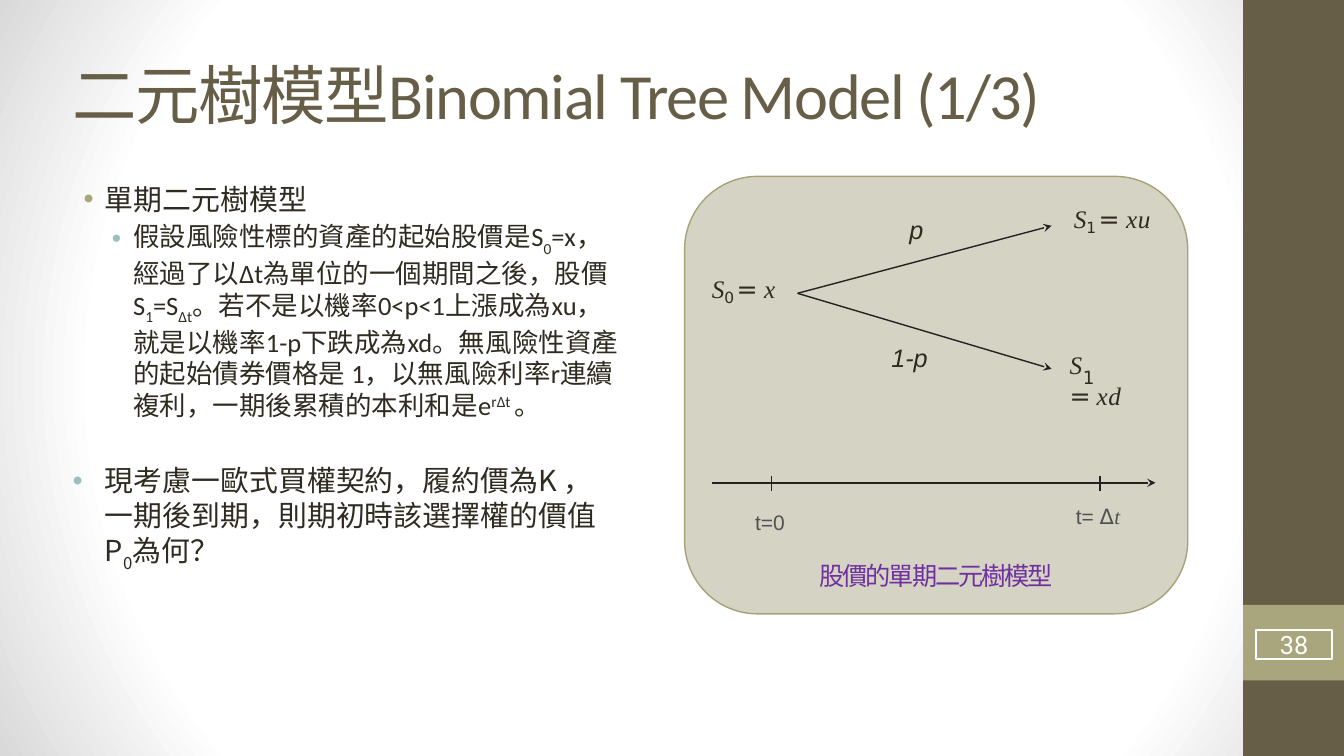
from lxml import etree
from pptx import Presentation
from pptx.dml.color import RGBColor
from pptx.enum.shapes import MSO_CONNECTOR as CONN, MSO_SHAPE as SHAPE
from pptx.enum.text import MSO_ANCHOR as ANCHOR, MSO_AUTO_SIZE as AUTO, PP_ALIGN as ALIGN
from pptx.oxml import parse_xml
from pptx.oxml.ns import nsdecls, qn
from pptx.util import Inches, Pt

COLORS = {
    "brown": "675E47", "olive": "A9A57C", "ink": "2F2B20", "teal": "9CBEBD",
    "panel": "D5D3C4", "edge": "A6A278", "line": "222222", "gray": "515151",
    "purple": "7030A0", "white": "FFFFFF", "shade": "D9D9D9",
}
CJK, CJK_TC, LATIN = "Noto Sans CJK SC", "Noto Sans CJK TC", "Calibri"
SYMBOL, SERIF, SANS = "DejaVu Sans", "Times New Roman", "Arial"


def rgb(name):
    return RGBColor.from_string(COLORS[name])


def add_run(p, text, name, size, color, spc=0, base=0, **fmt):
    r = p.add_run()
    r.text = text
    for key, value in {"name": name, "size": Pt(size), **fmt}.items():
        setattr(r.font, key, value)
    r.font.color.rgb = rgb(color)
    rPr = r._r.get_or_add_rPr()
    etree.SubElement(rPr, qn("a:ea")).set("typeface", name)
    for key, value in {"spc": spc * 100, "baseline": base * 1000}.items():
        if value:
            rPr.set(key, str(round(value)))


def set_frame(tf, inset=0, anchor=ANCHOR.TOP):
    margins = {f"margin_{side}": Inches(inset) for side in ("left", "right", "top", "bottom")}
    for key, value in {**margins, "word_wrap": True, "auto_size": AUTO.NONE,
                       "vertical_anchor": anchor}.items():
        setattr(tf, key, value)


def add_box(s, kind, x, y, w, h, fill=None, line=None, width=1):
    sp = s.shapes.add_shape(kind, Inches(x), Inches(y), Inches(w), Inches(h))
    sp.shadow.inherit = False
    if fill:
        sp.fill.solid()
        sp.fill.fore_color.rgb = rgb(fill)
    else:
        sp.fill.background()
    if line:
        sp.line.color.rgb = rgb(line)
        sp.line.width = Pt(width)
    else:
        sp.line.fill.background()
    return sp


def add_label(s, x, y, w, h, lines, align=ALIGN.LEFT):
    tf = s.shapes.add_textbox(Inches(x), Inches(y), Inches(w), Inches(h)).text_frame
    set_frame(tf)
    for i, runs in enumerate(lines):
        p = tf.add_paragraph() if i else tf.paragraphs[0]
        p.alignment = align
        for fmt in runs:
            add_run(p, **fmt)


def add_line(s, x1, y1, x2, y2, width=1, arrow=False):
    c = s.shapes.add_connector(CONN.STRAIGHT, *map(Inches, (x1, y1, x2, y2)))
    c.line.color.rgb = rgb("line")
    c.line.width = Pt(width)
    if arrow:
        tail = etree.SubElement(c.line._get_or_add_ln(), qn("a:tailEnd"))
        for key, value in {"type": "stealth", "w": "med", "len": "med"}.items():
            tail.set(key, value)
    etree.SubElement(c._element.spPr, qn("a:effectLst"))


def set_background(s):
    s.background.fill.solid()
    solid = s.background._cSld.bg.bgPr.find(qn("a:solidFill"))
    stops = "".join(f'<a:gs pos="{pos}"><a:srgbClr val="{COLORS[c]}"/></a:gs>'
                    for pos, c in ((0, "white"), (75000, "white"), (100000, "shade")))
    solid.getparent().replace(solid, parse_xml(
        f'<a:gradFill {nsdecls("a")} rotWithShape="1"><a:gsLst>{stops}</a:gsLst>'
        '<a:path path="circle"><a:fillToRect l="50000" t="50000" r="50000" b="50000"/>'
        '</a:path></a:gradFill>'))


def add_sidebar(s, x, y, w, h):
    add_box(s, SHAPE.RECTANGLE, x, y, w, h, "brown")
    add_box(s, SHAPE.RECTANGLE, x, y + 6, w, 0.75, "olive")
    number = add_box(s, SHAPE.RECTANGLE, x + 0.13, y + 6.25, 0.75, 0.29, line="white", width=1.5)
    set_frame(number.text_frame, anchor=ANCHOR.MIDDLE)
    p = number.text_frame.paragraphs[0]
    p.alignment = ALIGN.CENTER
    add_run(p, "38", "Roboto", 18, "white")


def add_title(s, x, y, w, h):
    sp = s.shapes.title
    for key, value in {"left": x, "top": y, "width": w, "height": h}.items():
        setattr(sp, key, Inches(value))
    set_frame(sp.text_frame, 0.05, ANCHOR.MIDDLE)
    p = sp.text_frame.paragraphs[0]
    p.alignment = ALIGN.LEFT
    for text, font in (("二元樹模型", CJK), ("Binomial Tree Model (1/3)", LATIN)):
        add_run(p, text, font, 46, "brown", spc=-1)


def add_bullet(p, color, left, hang):
    pPr = p._p.get_or_add_pPr()
    pPr.set("marL", str(Inches(left)))
    pPr.set("indent", str(-Inches(hang)))
    clr = etree.SubElement(pPr, qn("a:buClr"))
    etree.SubElement(clr, qn("a:srgbClr")).set("val", COLORS[color])
    etree.SubElement(pPr, qn("a:buFont")).set("typeface", SANS)
    etree.SubElement(pPr, qn("a:buChar")).set("char", "•")


def add_body(s, x, y, w, h):
    assumption = [
        ("假設風險性標的資產的起始股價是", CJK), ("S", LATIN), ("0", LATIN, -28), ("=x", LATIN),
        ("，經過了以", CJK), ("∆t", LATIN), ("為單位的一個期間之後，股價", CJK),
        ("S", LATIN), ("1", LATIN, -28), ("=S", LATIN), ("∆t", LATIN, -28),
        ("。若不是以機率", CJK), ("0<p<1", LATIN), ("上漲成為", CJK), ("xu", LATIN),
        ("，就是以機率", CJK), ("1-p", LATIN), ("下跌成為", CJK), ("xd", LATIN),
        ("。無風險性資產的起始債券價格是 ", CJK), ("1", LATIN), ("，以無風險利率", CJK),
        ("r", LATIN), ("連續複利，一期後累積的本利和是", CJK), ("e", LATIN),
        ("r∆t ", LATIN, 30), ("。", CJK),
    ]
    question = [
        ("現考慮一歐式買權契約，履約價為K ，一期後到期，則期初時該選擇權的價值P", CJK_TC),
        ("0", CJK_TC, -28), ("為何？", CJK_TC),
    ]
    tf = s.shapes.add_textbox(Inches(x), Inches(y), Inches(w), Inches(h)).text_frame
    set_frame(tf, 0.05)
    for i, (runs, size, color, left, hang, before) in enumerate((
            ([("單期二元樹模型", CJK)], 20.6, "olive", 0.32, 0.21, 0),
            (assumption, 18.9, "teal", 0.6, 0.21, 3),
            (question, 20.6, "teal", 0.32, 0.32, 30))):
        p = tf.add_paragraph() if i else tf.paragraphs[0]
        add_bullet(p, color, left, hang)
        p.line_spacing = 1.0
        p.space_before = Pt(before)
        for text, font, *base in runs:
            add_run(p, text, font, size, "ink", base=base[0] if base else 0)


def math(text, name=SERIF, size=18, color="ink", **fmt):
    return {"text": text, "name": name, "size": size, "color": color,
            "italic": name != SYMBOL, **fmt}


def price(index, value):
    return [math("S", spc=-1.2), math(f"{index} ", SYMBOL, 19, spc=-1.8, base=-19),
            math("= ", SYMBOL, spc=-1.1), math(value, spc=0.3)]


def add_tree(s, x, y, w, h):
    add_box(s, SHAPE.ROUNDED_RECTANGLE, x, y, w, h, "panel", "edge")
    for end in (0.49, 1.91):
        add_line(s, x + 1.12, y + 1.16, x + 3.64, y + end, arrow=True)
    add_label(s, x + 0.27, y + 0.95, 0.8, 0.35, [price(0, "x")])
    add_label(s, x + 3.86, y + 0.25, 1, 0.35, [price(1, "xu")])
    add_label(s, x + 2.23, y + 0.38, 0.25, 0.28, [[math("p", SANS)]])
    add_label(s, x + 2.05, y + 1.65, 0.5, 0.28, [[math("1-p", SANS)]])
    add_label(s, x + 3.95, y + 1.88, 0.15, 0.22, [[math("1", SYMBOL, 13)]])
    add_label(s, x + 3.82, y + 1.72, 0.92, 0.62,
              [[math("S")], [math("= ", SYMBOL, spc=-1.7), math("xd", spc=0.6)]])
    add_line(s, x + 0.27, y + 3.04, x + 4.67, y + 3.04, 1.34, arrow=True)
    for tick in (0.86, 4.12):
        add_line(s, x + tick, y + 2.97, x + tick, y + 3.12)
    gray = {"size": 15, "color": "gray"}
    add_label(s, x + 0.7, y + 3.31, 0.4, 0.23, [[math("t=0", SANS, **gray, italic=False)]])
    add_label(s, x + 3.88, y + 3.25, 0.6, 0.25,
              [[math("t= ", SANS, **gray, italic=False), math("Δ", SYMBOL, **gray, spc=0.2),
                math("t", **gray)]])
    add_label(s, x + 1.21, y + 3.81, 2.57, 0.35,
              [[math("股價的單期二元樹模型", CJK, color="purple", spc=-1.5, italic=False)]],
              ALIGN.CENTER)


def main():
    prs = Presentation()
    prs.slide_width, prs.slide_height = Inches(13.33), Inches(7.5)
    s = prs.slides.add_slide(prs.slide_layouts[5])
    set_background(s)
    add_sidebar(s, 12.33, 0, 1, 7.5)
    add_title(s, 0.67, 0.31, 11.11, 1.25)
    add_body(s, 0.67, 1.75, 5.52, 5.25)
    add_tree(s, 6.79, 1.75, 4.99, 4.34)
    prs.save("out.pptx")


if __name__ == "__main__":
    main()
